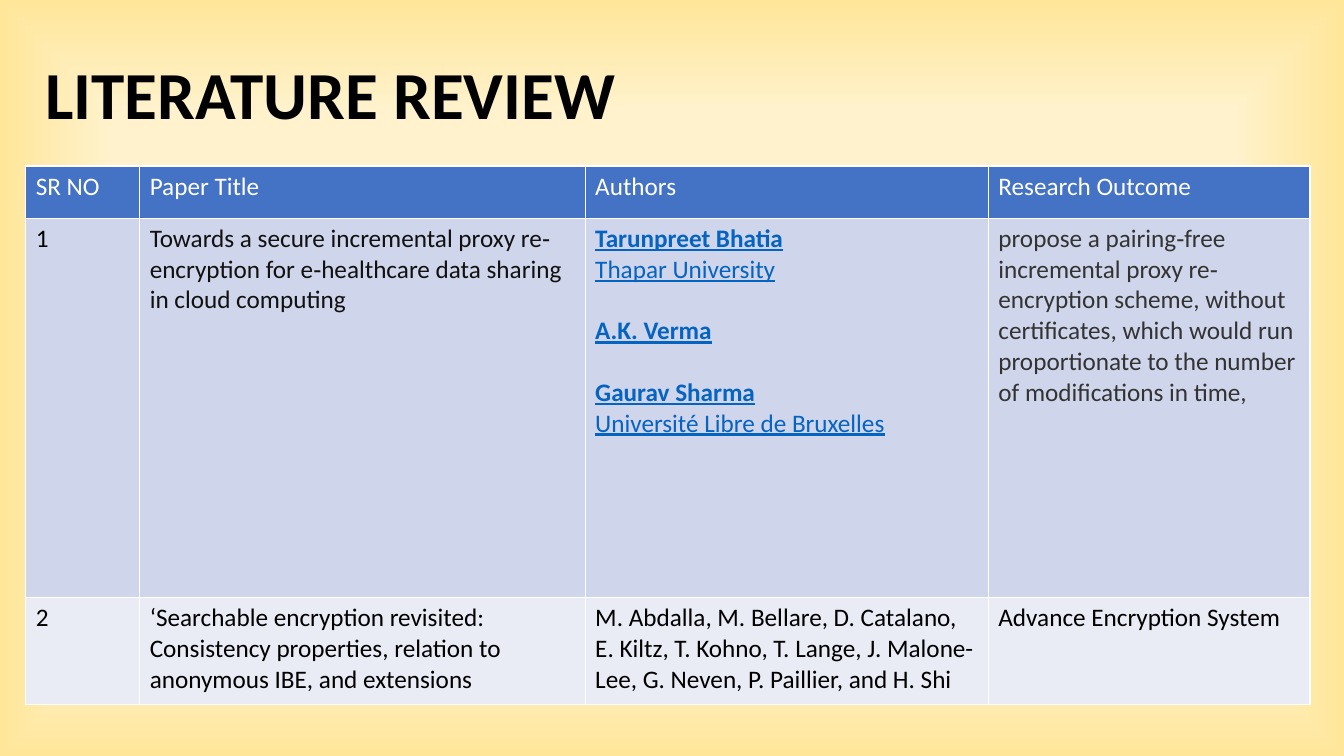
from dataclasses import dataclass

from lxml import etree
from pptx import Presentation
from pptx.dml.color import RGBColor
from pptx.enum.text import MSO_ANCHOR, MSO_AUTO_SIZE, PP_ALIGN
from pptx.oxml.ns import qn
from pptx.util import Pt

TOP = MSO_ANCHOR.TOP
FIXED = MSO_AUTO_SIZE.NONE
LEFT = PP_ALIGN.LEFT

HUES = {
    "glow": "FFF2CC", "edge": "FFE699", "head": "4472C4",
    "band": "CFD5EA", "pale": "E9EBF5", "white": "FFFFFF",
    "black": "000000", "ink": "111111", "gray": "333333", "link": "0563C1",
}
BODY = {"name": "Calibri", "size": Pt(18), "bold": False}
LINK = BODY | {"underline": True}
NAME = LINK | {"bold": True}
TITLE = BODY | {"size": Pt(48), "bold": True}
GAP = 22
WIDTHS = (81.4, 318.2, 288, 229.7)


@dataclass
class Line:
    text: str
    hue: str = "black"
    font: dict | None = None
    after: float = 0


@dataclass
class Row:
    height: float
    fill: str
    cells: list[list[Line]]


ROWS = [
    Row(37.4, "head", [
        [Line(text, "white")]
        for text in ("SR NO", "Paper Title", "Authors", "Research Outcome")
    ]),
    Row(271, "band", [
        [Line("1")],
        [Line("Towards a secure incremental proxy re‐encryption for "
              "e‐healthcare data sharing in cloud computing", "ink")],
        [
            Line("Tarunpreet Bhatia", "link", NAME),
            Line("Thapar University", "link", LINK, GAP),
            Line("A.K. Verma", "link", NAME, GAP),
            Line("Gaurav Sharma", "link", NAME),
            Line("Université Libre de Bruxelles", "link", LINK),
        ],
        [Line("propose a pairing‐free incremental proxy re‐encryption scheme, "
              "without certificates, which would run proportionate to the "
              "number of modifications in time,", "gray")],
    ]),
    Row(76.3, "pale", [
        [Line("2")],
        [Line("‘Searchable encryption revisited: Consistency properties, "
              "relation to anonymous IBE, and extensions")],
        [Line("M. Abdalla, M. Bellare, D. Catalano, E. Kiltz, T. Kohno, "
              "T. Lange, J. Malone-Lee, G. Neven, P. Paillier, and H. Shi")],
        [Line("Advance Encryption System")],
    ]),
]


def color(hue: str) -> RGBColor:
    return RGBColor.from_string(HUES[hue])


def write(frame, lines: list[Line]) -> None:
    for i, line in enumerate(lines):
        para = frame.add_paragraph() if i else frame.paragraphs[0]
        para.alignment = LEFT
        para.space_after = Pt(line.after)
        run = para.add_run()
        run.text = line.text
        for key, value in (line.font or BODY).items():
            setattr(run.font, key, value)
        run.font.color.rgb = color(line.hue)


def border(cell) -> None:
    props = cell._tc.get_or_add_tcPr()
    for i, side in enumerate(("lnL", "lnR", "lnT", "lnB")):
        edge = etree.Element(qn(f"a:{side}"), w=str(Pt(1)))
        fill = etree.SubElement(edge, qn("a:solidFill"))
        etree.SubElement(fill, qn("a:srgbClr"), val=HUES["white"])
        props.insert(i, edge)


def paint(slide) -> None:
    fill = slide.background.fill
    fill.gradient()
    stops = zip(fill.gradient_stops, (("glow", 0.71), ("edge", 1)))
    for stop, (hue, place) in stops:
        stop.color.rgb = color(hue)
        stop.position = place
    grad = slide.background._cSld.find(".//" + qn("a:gradFill"))
    shade = etree.Element(qn("a:path"))
    shade.set("path", "shape")
    sides = dict.fromkeys("ltrb", "50000")
    etree.SubElement(shade, qn("a:fillToRect"), **sides)
    grad.replace(grad.find(qn("a:lin")), shade)


def head(slide) -> None:
    title = slide.shapes.title
    place = {"left": 25.2, "top": 33.8, "width": 480.2, "height": 65.5}
    for key, value in place.items():
        setattr(title, key, Pt(value))
    frame = title.text_frame
    style = {"auto_size": FIXED, "vertical_anchor": TOP, "word_wrap": True}
    for key, value in style.items():
        setattr(frame, key, value)
    write(frame, [Line("LITERATURE REVIEW", font=TITLE)])


def grid(slide) -> None:
    tall = sum(row.height for row in ROWS)
    box = (Pt(n) for n in (18.4, 118.6, sum(WIDTHS), tall))
    table = slide.shapes.add_table(len(ROWS), len(WIDTHS), *box).table
    for col, width in zip(table.columns, WIDTHS):
        col.width = Pt(width)
    for line, row in zip(table.rows, ROWS):
        line.height = Pt(row.height)
        for cell, lines in zip(line.cells, row.cells):
            cell.fill.solid()
            cell.fill.fore_color.rgb = color(row.fill)
            border(cell)
            write(cell.text_frame, lines)


def main() -> None:
    deck = Presentation()
    deck.slide_width, deck.slide_height = Pt(960), Pt(540)
    slide = deck.slides.add_slide(deck.slide_layouts.get_by_name("Title Only"))
    paint(slide)
    head(slide)
    grid(slide)
    deck.save("out.pptx")


if __name__ == "__main__":
    main()
